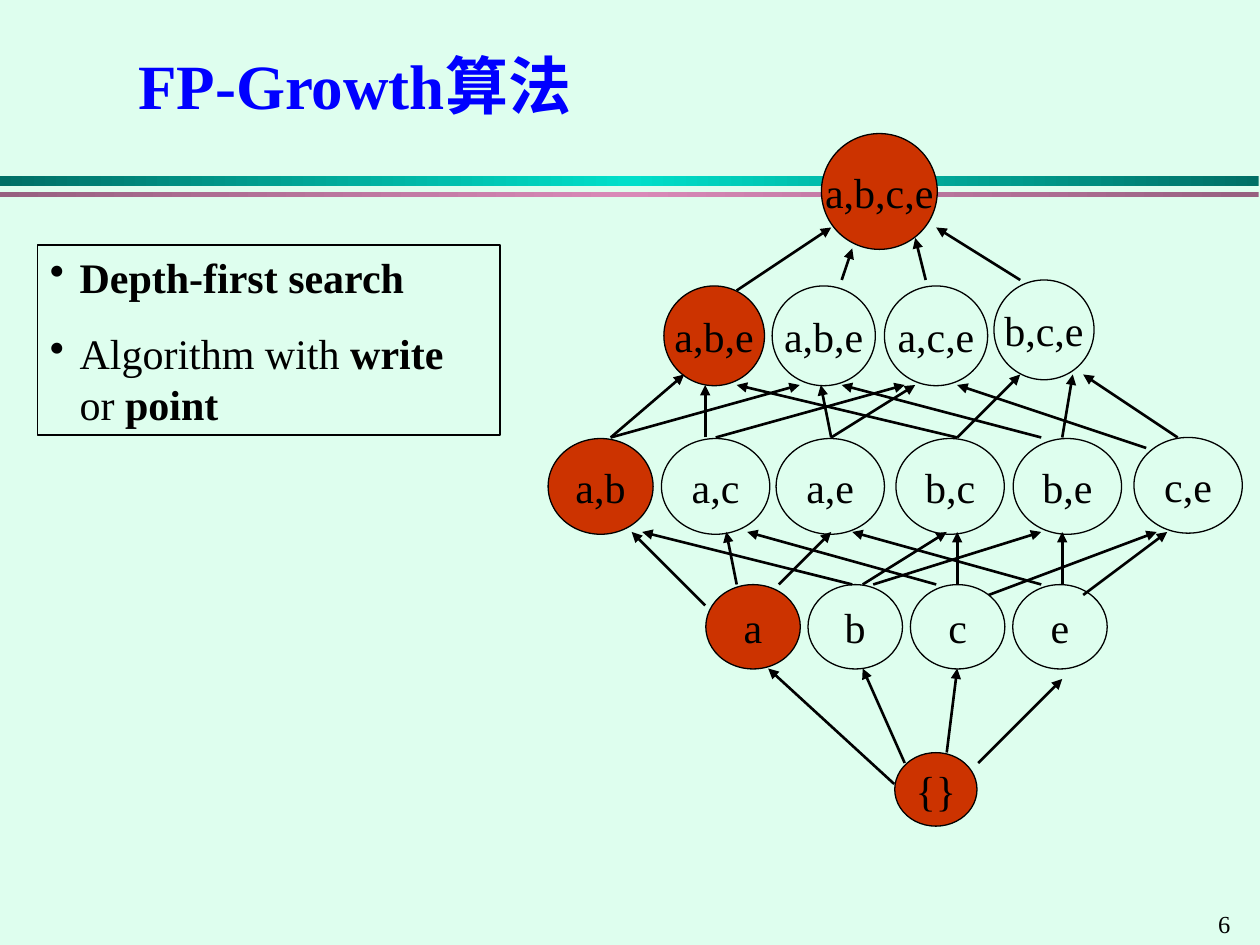
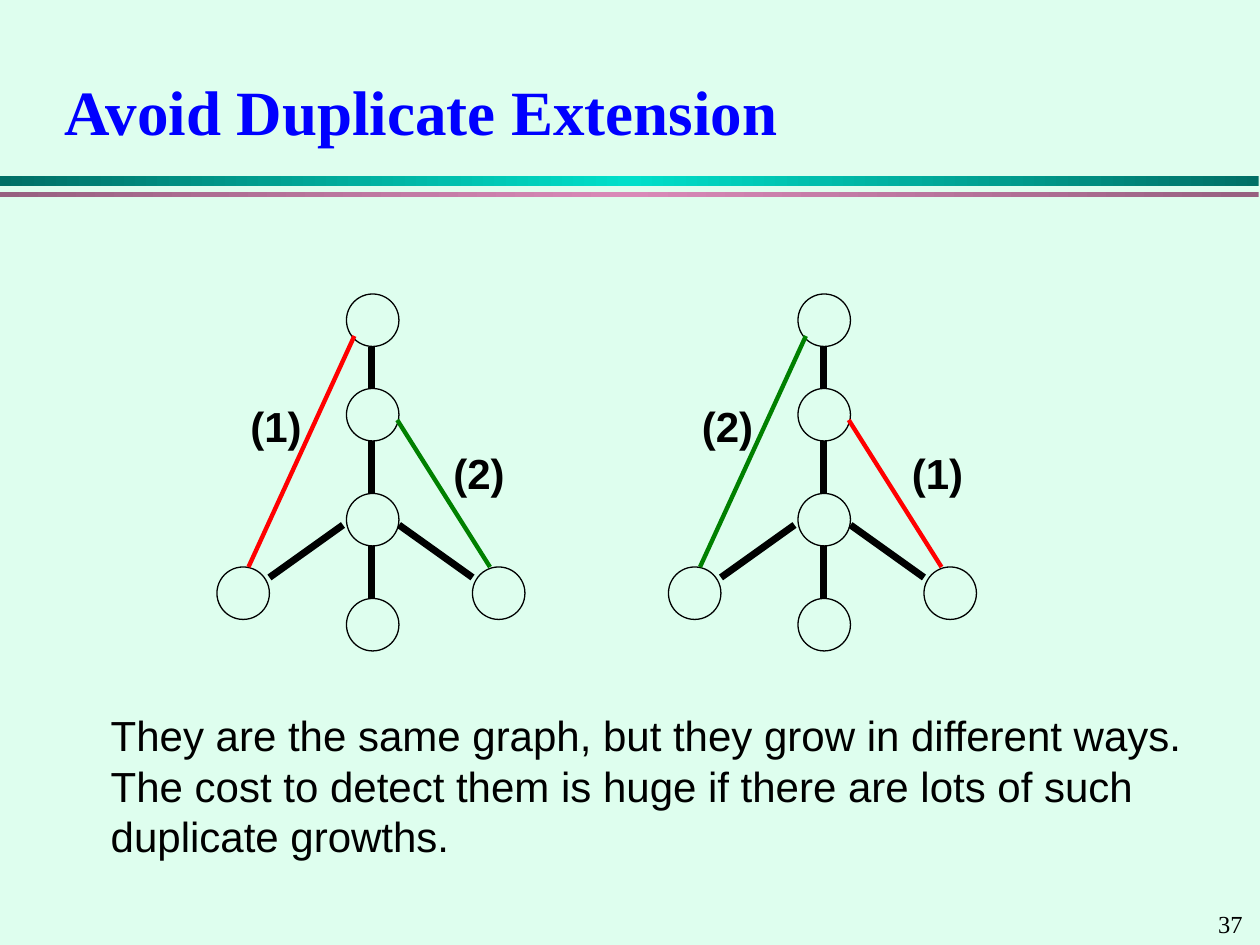
"""Builds two slides on itemset lattices and duplicate graph growth."""
from copy import deepcopy
from lxml import etree
from pptx import Presentation
from pptx.dml.color import RGBColor
from pptx.enum.shapes import MSO_CONNECTOR, MSO_SHAPE
from pptx.enum.text import MSO_ANCHOR, PP_ALIGN
from pptx.oxml.ns import qn
from pptx.util import Pt

OVAL, RECT = MSO_SHAPE.OVAL, MSO_SHAPE.RECTANGLE
STRAIGHT = MSO_CONNECTOR.STRAIGHT
TOP, MIDDLE = MSO_ANCHOR.TOP, MSO_ANCHOR.MIDDLE
LEFT, CENTER = PP_ALIGN.LEFT, PP_ALIGN.CENTER

COLORS = {
    "bg": "DEFEEE", "ink": "000000", "title": "0000FF", "visited": "CC3300",
    "red": "FF0000", "green": "008000",
    "teal_edge": "006F65", "teal_mid": "00DFCA",
    "pink_edge": "976080", "pink_mid": "D989B8",
}
SERIF, SANS = "Times New Roman", "Arial"
STEP = 6

LATTICE_NODES = [
    ("a,b,c,e", 156.4, 0.3, 66.2, 66.2, True),
    ("a,b,e", 66.4, 87.4, 57.5, 57, True),
    ("a,b,e", 128.2, 87.4, 59, 57, False),
    ("a,c,e", 192.4, 87.4, 59, 57, False),
    ("b,c,e", 255, 84, 57.2, 57, False),
    ("a,b", 0.2, 174.6, 60, 54.7, True),
    ("a,c", 65, 174.6, 61.9, 54.7, False),
    ("a,e", 130.5, 174.6, 61.9, 54.7, False),
    ("b,c", 199, 174.6, 61.9, 54.7, False),
    ("b,e", 266, 174.6, 61.9, 54.7, False),
    ("c,e", 335, 174, 61.9, 54.7, False),
    ("a", 90.3, 258.1, 54, 48.2, True),
    ("b", 148.7, 258.1, 54, 48.2, False),
    ("c", 207.2, 258.1, 54, 48.2, False),
    ("e", 265.7, 258.1, 54, 48.2, False),
    ("{}", 198.3, 354.1, 47, 42, True),
]

LATTICE_ARROWS = [
    (41, 60, 49, 52), (38, 59, 39, 51), (34, 60, 30, 51), (33, 62, 21, 51),
    (15, 45, 8, 38), (18, 43, 17, 38), (22, 43, 27, 38), (30, 43, 38, 38),
    (29, 43, 9, 38), (31, 43, 47, 38), (37, 43, 19, 38), (39, 43, 39, 38),
    (42, 44, 58, 38), (47, 43, 29, 38), (49, 43, 49, 38), (51, 44, 59, 38),
    (6, 29, 13, 23), (6, 29, 24, 24), (15, 29, 15, 24), (16, 29, 34, 24),
    (27, 29, 26, 24), (27, 29, 35, 24), (39, 29, 18, 24), (39, 29, 45, 23),
    (47, 29, 28, 24), (49, 29, 50, 23), (57, 30, 39, 24), (60, 29, 51, 23),
    (18, 15, 27, 9), (28, 14, 29, 11), (36, 14, 35, 10), (45, 14, 37, 9),
]


def rgb(name):
    """Return the named palette colour."""
    return RGBColor.from_string(COLORS[name])


def write(sp, paragraphs, size=24, font=SERIF, color="ink", bold=False,
          align=LEFT, anchor=TOP, wrap=False):
    """Fill a shape with paragraphs, each a list of (text, bold) runs or a string."""
    tf = sp.text_frame
    tf.word_wrap, tf.vertical_anchor = wrap, anchor
    for i, runs in enumerate(paragraphs):
        p = tf.paragraphs[0] if i == 0 else tf.add_paragraph()
        p.alignment, p.line_spacing = align, Pt(1.2 * size)
        p.font.size, p.font.name, p.font.color.rgb = Pt(size), font, rgb(color)
        if isinstance(runs, str):
            runs = [(runs, bold)]
        for text, is_bold in runs:
            r = p.add_run()
            r.text, r.font.bold = text, is_bold
    return tf


def add_text(s, box, paragraphs, **style):
    """Add a text box."""
    return write(s.shapes.add_textbox(*map(Pt, box)), paragraphs, **style)


def add_outlined(s, kind, box, fill=None, width=0.75):
    """Add a black-outlined shape, filled only if a colour is named."""
    sp = s.shapes.add_shape(kind, *map(Pt, box))
    sp.shadow.inherit = False
    sp.line.color.rgb, sp.line.width = rgb("ink"), Pt(width)
    if fill:
        sp.fill.solid()
        sp.fill.fore_color.rgb = rgb(fill)
    else:
        sp.fill.background()
    return sp


def add_line(s, x1, y1, x2, y2, color="ink", width=1.5, arrow=False):
    """Add a straight connector, optionally with an arrowhead at its end."""
    c = s.shapes.add_connector(STRAIGHT, Pt(x1), Pt(y1), Pt(x2), Pt(y2))
    c.line.color.rgb, c.line.width = rgb(color), Pt(width)
    if arrow:
        etree.SubElement(c.line._get_or_add_ln(), qn("a:tailEnd"), type="triangle")
    etree.SubElement(c._element.spPr, qn("a:effectLst"))


def add_band(s, top, height, hue):
    """Add a full-width band that brightens towards its middle."""
    sp = s.shapes.add_shape(RECT, 0, Pt(top), Pt(719.3), Pt(height))
    sp.shadow.inherit = False
    sp.line.fill.background()
    sp.fill.gradient()
    sp.fill.gradient_angle = 0
    edge, mid = sp.fill.gradient_stops
    edge.color.rgb, edge.position = rgb(hue + "_edge"), 0
    mid.color.rgb, mid.position = rgb(hue + "_mid"), 0.5
    stops = sp._element.spPr.find(".//" + qn("a:gsLst"))
    last = deepcopy(stops[0])
    last.set("pos", "100000")
    stops.append(last)


def add_base(prs, title, title_box, number):
    """Add a slide with its background, bands, page number and title."""
    s = prs.slides.add_slide(prs.slide_layouts[6])
    s.background.fill.solid()
    s.background.fill.fore_color.rgb = rgb("bg")
    add_band(s, 100.8, 5.6, "teal")
    add_band(s, 109.6, 3, "pink")
    add_text(s, (689, 516.2, 31, 24.5), [number], size=14, wrap=True)
    add_text(s, title_box, [title], size=36, color="title", bold=True,
             anchor=MIDDLE, wrap=True)
    return s


def add_lattice(s, left, top):
    """Draw the itemset lattice with its origin at left, top."""
    for text, x, y, w, h, visited in LATTICE_NODES:
        sp = add_outlined(s, OVAL, (left + x, top + y, w, h),
                          "visited" if visited else None)
        write(sp, [text], align=CENTER, anchor=MIDDLE)
    for x1, y1, x2, y2 in LATTICE_ARROWS:
        add_line(s, left + x1 * STEP, top + y1 * STEP,
                 left + x2 * STEP, top + y2 * STEP, arrow=True)


def add_bullets(s, box, paragraphs):
    """Add an outlined box of bulleted paragraphs."""
    tf = write(add_outlined(s, RECT, box, width=1), paragraphs, wrap=True)
    for i, p in enumerate(tf.paragraphs):
        if i:
            p.space_before = Pt(15)
        pPr = p._p.get_or_add_pPr()
        pPr.set("marL", str(Pt(17)))
        pPr.set("indent", str(-Pt(17)))
        bullet = etree.Element(qn("a:buChar"), char="•")
        pPr.find(qn("a:defRPr")).addprevious(bullet)


def add_tree(s, left, top, left_growth, right_growth, right_label_x):
    """Draw a tree whose two extra edges each have a (label, colour)."""
    node, spine = 30, 74
    levels = (0, 54, 114, 174)
    nodes = [(spine, y) for y in levels] + [(146, 156), (0, 156)]
    for (x, y), fill in zip(nodes, ("bg", "bg", "bg", None, "bg", None)):
        add_outlined(s, OVAL, (left + x, top + y, node, node), fill)
    edges = [(88.5, y + node, 88.5, below) for y, below in zip(levels, levels[1:])]
    edges += [(104, 132, 146, 162), (72, 132, 30, 162)]
    for x1, y1, x2, y2 in edges:
        add_line(s, left + x1, top + y1, left + x2, top + y2, width=4)
    growths = [(left_growth, (78.5, 24, 18, 156), 12, 57.6),
               (right_growth, (103, 72, 156, 156), right_label_x, 84)]
    for (label, color), (x1, y1, x2, y2), x, y in growths:
        add_line(s, left + x1, top + y1, left + x2, top + y2, color, 2.5)
        add_text(s, (left + x, top + y, 44, 36), [label], font=SANS, bold=True)


def lattice_slide(prs):
    """Build the depth-first search slide."""
    s = add_base(prs, "FP-Growth算法", (72, 21, 648, 54.7), "6")
    add_lattice(s, 313, 76)
    add_bullets(s, (21.4, 140, 264.2, 108.6), [
        [("Depth-first search", True)],
        [("Algorithm with ", False), ("write", True), (" or ", False), ("point", True)],
    ])


def duplicate_slide(prs):
    """Build the slide comparing two growth orders of one graph."""
    s = add_base(prs, "Avoid Duplicate Extension", (30, 30, 660, 66), "37")
    first, second = ("(1)", "red"), ("(2)", "green")
    add_tree(s, 124, 168, first, second, 128)
    add_tree(s, 382, 168, second, first, 132)
    add_text(s, (56.2, 402, 640, 93.6), [
        "They are the same graph, but they grow in different ways.",
        "The cost to detect them is huge if there are lots of such",
        "duplicate growths.",
    ], font=SANS)


def main():
    """Build and save the presentation."""
    prs = Presentation()
    prs.slide_width, prs.slide_height = Pt(720), Pt(540)
    lattice_slide(prs)
    duplicate_slide(prs)
    prs.save("out.pptx")


if __name__ == "__main__":
    main()
